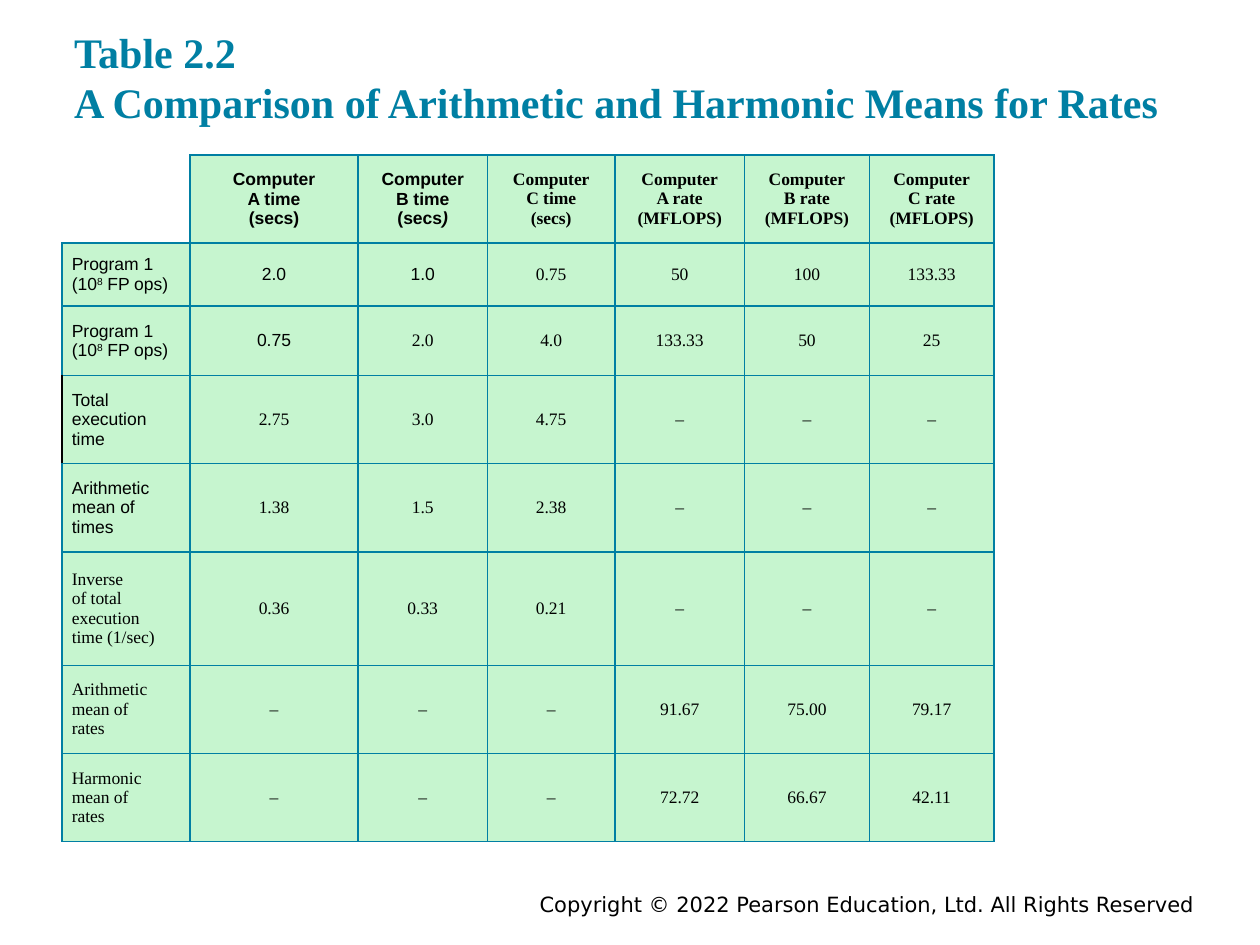
from lxml import etree
from pptx import Presentation
from pptx.dml.color import RGBColor
from pptx.enum.text import MSO_ANCHOR, PP_ALIGN
from pptx.oxml.ns import qn
from pptx.util import Inches, Pt

LEFT, CENTER, RIGHT = PP_ALIGN.LEFT, PP_ALIGN.CENTER, PP_ALIGN.RIGHT
MIDDLE, BOTTOM, TOP = MSO_ANCHOR.MIDDLE, MSO_ANCHOR.BOTTOM, MSO_ANCHOR.TOP
SANS, SERIF, FOOTER_FONT = "Arial", "Times New Roman", "DejaVu Sans"
COLORS = {"teal": "007FA3", "green": "C6F5CF", "white": "FFFFFF", "black": "000000"}

TITLE = ["Table 2.2", "A Comparison of Arithmetic and Harmonic Means for Rates"]
COPYRIGHT = "Copyright © 2022 Pearson Education, Ltd. All Rights Reserved"

# A cell is a list of lines; a line is a list of (text, style) pieces.
PROGRAM = [[("Program 1", "")], [("(10", ""), ("8", "super"), (" FP ops)", "")]]
SECS_ITALIC = [[("Computer", "")], [("B time", "")], [("(secs", ""), (")", "italic")]]
DASHES = ["–"] * 3
ROWS = [
    ["", "Computer\nA time\n(secs)", SECS_ITALIC, "Computer\nC time\n(secs)",
     "Computer\nA rate\n(MFLOPS)", "Computer\nB rate\n(MFLOPS)", "Computer\nC rate\n(MFLOPS)"],
    [PROGRAM, "2.0", "1.0", "0.75", "50", "100", "133.33"],
    [PROGRAM, "0.75", "2.0", "4.0", "133.33", "50", "25"],
    ["Total\nexecution\ntime", "2.75", "3.0", "4.75", *DASHES],
    ["Arithmetic\nmean of\ntimes", "1.38", "1.5", "2.38", *DASHES],
    ["Inverse\nof total\nexecution\ntime (1/sec)", "0.36", "0.33", "0.21", *DASHES],
    ["Arithmetic\nmean of\nrates", *DASHES, "91.67", "75.00", "79.17"],
    ["Harmonic\nmean of\nrates", *DASHES, "72.72", "66.67", "42.11"],
]
SANS_COLUMNS = [3, 3, 2, 1, 1, 0, 0, 0]  # leading cells of each row set in the sans font
COLUMN_WIDTHS = [1.02, 1.33, 1.03, 1.01, 1.03, 0.99, 0.99]
ROW_HEIGHTS = [0.7, 0.5, 0.55, 0.7, 0.7, 0.9, 0.7, 0.7]
SIDES = ["lnL", "lnR", "lnT", "lnB"]
SPECIAL_BORDERS = {(0, 0): {"lnL": None, "lnT": None}, (3, 0): {"lnL": "black"}}


def style_font(font, name, size, color, bold=False):
    font.name, font.size, font.bold = name, Pt(size), bold
    font.color.rgb = RGBColor.from_string(COLORS[color])


def add_text_box(slide, place, margins, anchor):
    frame = slide.shapes.add_textbox(*map(Inches, place)).text_frame
    frame.word_wrap = True
    frame.vertical_anchor = anchor
    frame.margin_left = frame.margin_right = Inches(margins[0])
    frame.margin_top = frame.margin_bottom = Inches(margins[1])
    return frame


def add_title(slide):
    frame = add_text_box(slide, (0.49, 0.2, 9, 0.91), (0.1, 0.1), BOTTOM)
    para = frame.paragraphs[0]
    for index, line in enumerate(TITLE):
        if index:
            para.add_line_break()
        span = para.add_run()
        span.text = line
        style_font(span.font, SERIF, 24, "teal", bold=True)


def add_copyright(slide):
    frame = add_text_box(slide, (1.75, 7.03, 7.83, 0.22), (0.1, 0.05), TOP)
    para = frame.paragraphs[0]
    para.alignment = RIGHT
    span = para.add_run()
    span.text = COPYRIGHT
    style_font(span.font, FOOTER_FONT, 12, "black")


def set_borders(cell, special):
    properties = cell._tc.get_or_add_tcPr()
    for index, side in enumerate(SIDES):
        color = special.get(side, "teal")
        line = etree.Element(qn("a:" + side), w=str(Pt(1)))
        if color:
            fill = etree.SubElement(line, qn("a:solidFill"))
            etree.SubElement(fill, qn("a:srgbClr"), val=COLORS[color])
        else:
            etree.SubElement(line, qn("a:noFill"))
        properties.insert(index, line)


def fill_cell(cell, content, font_name, bold, alignment):
    cell.vertical_anchor = MIDDLE
    cell.margin_left = cell.margin_right = Inches(0.08)
    cell.margin_top = cell.margin_bottom = Inches(0.04)
    cell.fill.solid()
    cell.fill.fore_color.rgb = RGBColor.from_string(COLORS["green" if content else "white"])
    if not content:
        return
    if isinstance(content, str):
        content = [[(line, "")] for line in content.split("\n")]
    frame = cell.text_frame
    for index, pieces in enumerate(content):
        para = frame.add_paragraph() if index else frame.paragraphs[0]
        para.alignment = alignment
        for text, style in pieces:
            span = para.add_run()
            span.text = text
            style_font(span.font, font_name, 10, "black", bold)
            if style == "italic":
                span.font.italic = True
            elif style == "super":
                span.font._element.set("baseline", "30000")


def add_means_table(slide):
    frame = slide.shapes.add_table(
        len(ROWS), len(COLUMN_WIDTHS), Inches(0.49), Inches(1.23),
        Inches(sum(COLUMN_WIDTHS)), Inches(sum(ROW_HEIGHTS)))
    table = frame.table
    table.horz_banding = False
    for column, width in zip(table.columns, COLUMN_WIDTHS):
        column.width = Inches(width)
    for row, height in zip(table.rows, ROW_HEIGHTS):
        row.height = Inches(height)
    for r, contents in enumerate(ROWS):
        for c, content in enumerate(contents):
            cell = table.cell(r, c)
            font_name = SANS if c < SANS_COLUMNS[r] else SERIF
            fill_cell(cell, content, font_name, r == 0, CENTER if c else LEFT)
            set_borders(cell, SPECIAL_BORDERS.get((r, c), {}))


def main():
    deck = Presentation()
    deck.slide_width, deck.slide_height = Inches(10), Inches(7.5)
    slide = deck.slides.add_slide(deck.slide_layouts[6])
    add_copyright(slide)
    add_means_table(slide)
    add_title(slide)
    deck.save("out.pptx")


if __name__ == "__main__":
    main()
